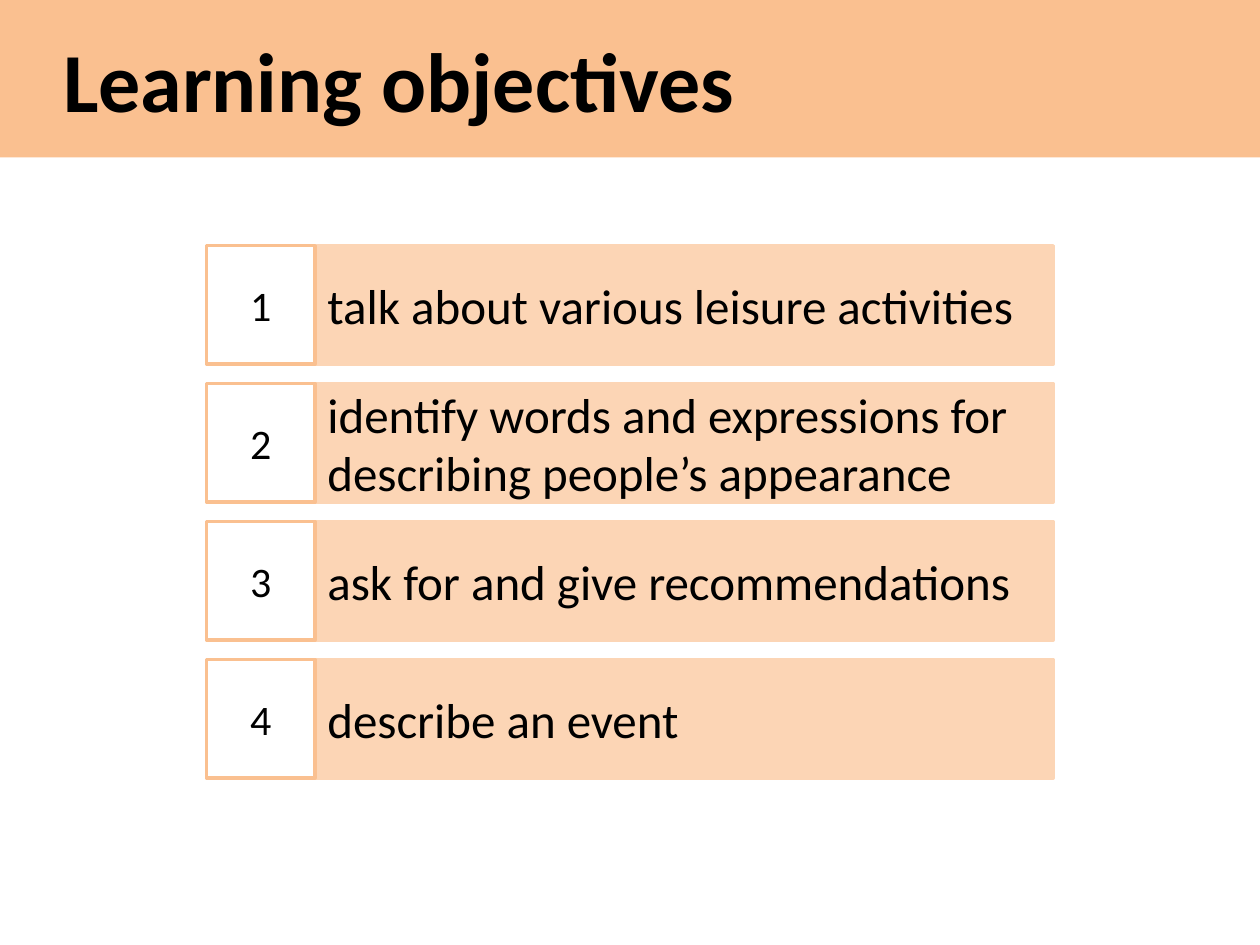
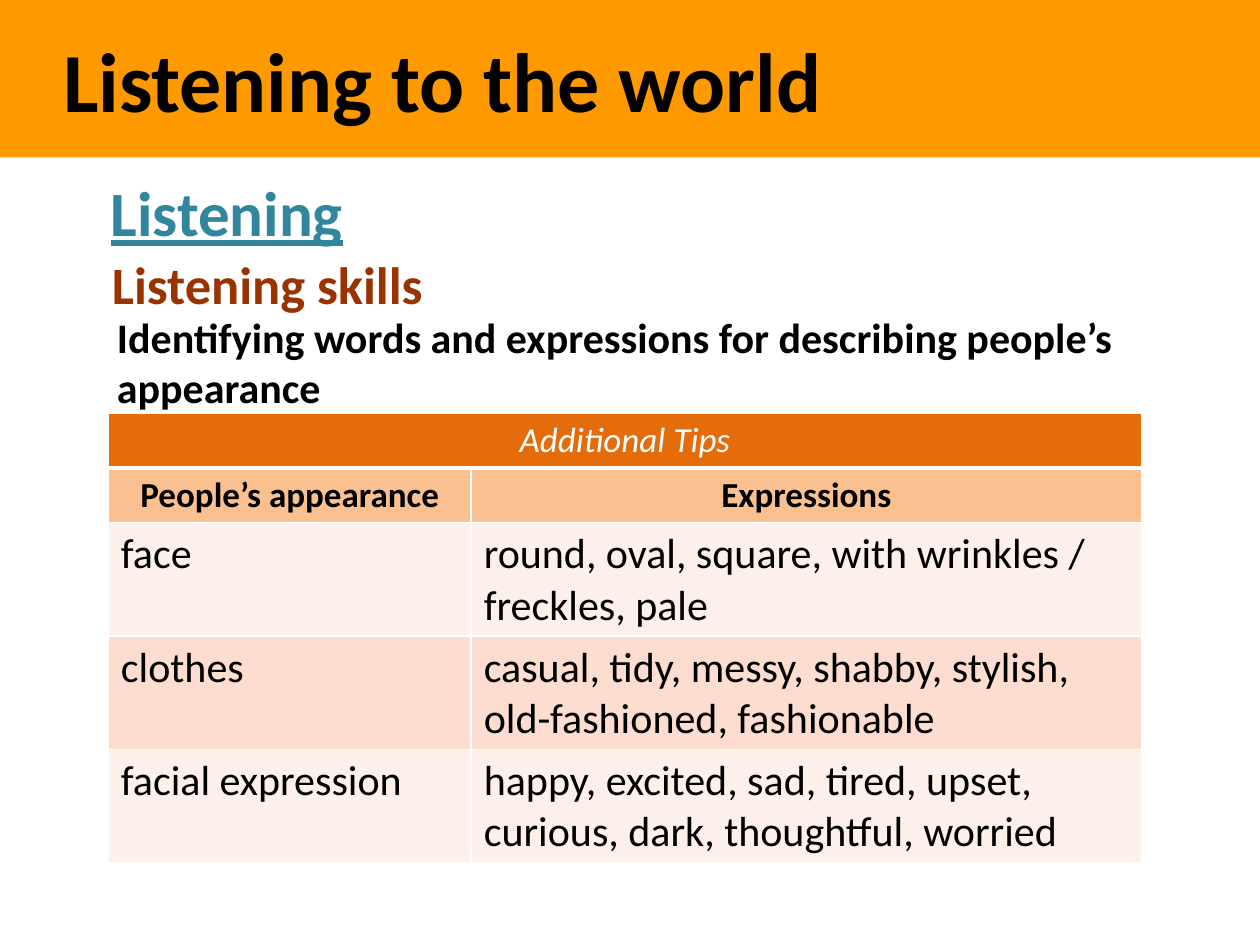
from pptx import Presentation
from pptx.dml.color import RGBColor
from pptx.enum.shapes import MSO_SHAPE
from pptx.enum.text import MSO_ANCHOR, MSO_AUTO_SIZE, PP_ALIGN
from pptx.oxml import parse_xml
from pptx.oxml.ns import nsdecls
from pptx.util import Inches, Pt

GOALS = [
    "talk about various leisure activities",
    "identify words and expressions for describing people’s appearance",
    "ask for and give recommendations",
    "describe an event",
]
TIPS = [
    ("Additional Tips", ""),
    ("People’s appearance", "Expressions"),
    ("face", "round, oval, square, with wrinkles / freckles, pale"),
    ("clothes", "casual, tidy, messy, shabby, stylish, old-fashioned, fashionable"),
    ("facial expression",
     "happy, excited, sad, tired, upset, curious, dark, thoughtful, worried"),
]

RECT = MSO_SHAPE.RECTANGLE
LEFT, CENTER = PP_ALIGN.LEFT, PP_ALIGN.CENTER
MIDDLE = MSO_ANCHOR.MIDDLE
WIDE, HIGH = 10, 7.5


class Theme:
    face = "Calibri"
    paper, ink = "FFFFFF", "000000"
    peach, pale = "FAC090", "FCD5B5"
    amber, rust = "FF9900", "E46C0A"
    stripes = ("FDEFE9", "FCDDCF")
    title = dict(size=48, bold=True)
    goal = dict(size=28)
    number = dict(size=24)
    section = dict(size=36, bold=True, underline=True, color="31859C")
    skill = dict(size=30, bold=True, color="993300")
    topic = dict(size=24, bold=True)
    banner = dict(size=20, italic=True, color=paper)
    head = dict(size=20, bold=True)
    cell = dict(size=24)


# Box as left, top, width, height in inches
HEADINGS = [
    ("Listening", (0.78, 1.33, 2.07, 0.71), Theme.section),
    ("Listening skills", (0.79, 1.95, 4.3, 0.61), Theme.skill),
    ("Identifying words and expressions for describing people’s appearance",
     (0.83, 2.42, 8.23, 0.91), Theme.topic),
]


def rgb(code):
    return RGBColor.from_string(code)


def inches(*box):
    return [Inches(n) for n in box]


def paint(part, code):
    part.fill.solid()
    part.fill.fore_color.rgb = rgb(code)


def write(frame, text, style, align=LEFT):
    frame.text = text
    para = frame.paragraphs[0]
    para.alignment = align
    font = para.runs[0].font
    look = {"name": Theme.face, "color": Theme.ink, **style}
    font.color.rgb = rgb(look.pop("color"))
    look["size"] = Pt(look["size"])
    for key, value in look.items():
        setattr(font, key, value)


def start(deck, text, color):
    """Add a slide whose title placeholder forms the band at the top."""
    slide = deck.slides.add_slide(deck.slide_layouts[5])
    title = slide.shapes.title
    title.left, title.top, title.width, title.height = inches(0, 0, WIDE, HIGH / 6)
    paint(title, color)
    frame = title.text_frame
    frame.auto_size = MSO_AUTO_SIZE.NONE
    frame.vertical_anchor = MIDDLE
    frame.margin_left = Inches(0.5)
    write(frame, text, Theme.title)
    return slide


def block(group, box, text, style, align, fill, line):
    shape = group.shapes.add_shape(RECT, *inches(*box))
    shape.shadow.inherit = False
    paint(shape, fill)
    shape.line.color.rgb = rgb(line)
    shape.line.width = Pt(2)
    shape.text_frame.word_wrap = True
    shape.text_frame.vertical_anchor = MIDDLE
    write(shape.text_frame, text, style, align)


def list_goals(slide):
    left, top, step = 1.64, 1.95, 1.095
    tag, bar, tall = 0.86, 5.86, 0.94
    for i, goal in enumerate(GOALS):
        group = slide.shapes.add_group_shape()
        y = top + i * step
        block(group, (left + tag, y, bar, tall), goal, Theme.goal, LEFT,
              Theme.pale, Theme.pale)
        block(group, (left, y, tag, tall), str(i + 1), Theme.number, CENTER,
              Theme.paper, Theme.peach)


def frame_cell(cell, row):
    """Draw white rules, with a thick one under the first row."""
    thick = {(0, "B"), (1, "T")}
    props = cell._tc.get_or_add_tcPr()
    for side in "LRTB":
        width = Pt(3 if (row, side) in thick else 1)
        props.append(parse_xml(
            f'<a:ln{side} {nsdecls("a")} w="{width}"><a:solidFill>'
            f'<a:srgbClr val="{Theme.paper}"/></a:solidFill></a:ln{side}>'))


def add_tips(slide):
    cols, rows = (2.88, 5.32), (0.43, 0.43, 0.9, 0.9, 0.9)
    box = inches(0.86, 3.28, sum(cols), sum(rows))
    table = slide.shapes.add_table(len(rows), len(cols), *box).table
    for col, width in zip(table.columns, cols):
        col.width = Inches(width)
    for row, height in zip(table.rows, rows):
        row.height = Inches(height)
    table.cell(0, 0).merge(table.cell(0, 1))
    heads = [(Theme.banner, Theme.rust), (Theme.head, Theme.peach)]
    for r, texts in enumerate(TIPS):
        body = r >= len(heads)
        style, fill = (Theme.cell, Theme.stripes[r % 2]) if body else heads[r]
        for c, text in enumerate(texts):
            cell = table.cell(r, c)
            frame_cell(cell, r)
            paint(cell, fill)
            if text:
                write(cell.text_frame, text, style, LEFT if body else CENTER)


def main():
    deck = Presentation()
    deck.slide_width, deck.slide_height = inches(WIDE, HIGH)
    list_goals(start(deck, "Learning objectives", Theme.peach))
    slide = start(deck, "Listening to the world", Theme.amber)
    for text, box, style in HEADINGS:
        frame = slide.shapes.add_textbox(*inches(*box)).text_frame
        frame.word_wrap = True
        write(frame, text, style)
    add_tips(slide)
    deck.save("out.pptx")


if __name__ == "__main__":
    main()
